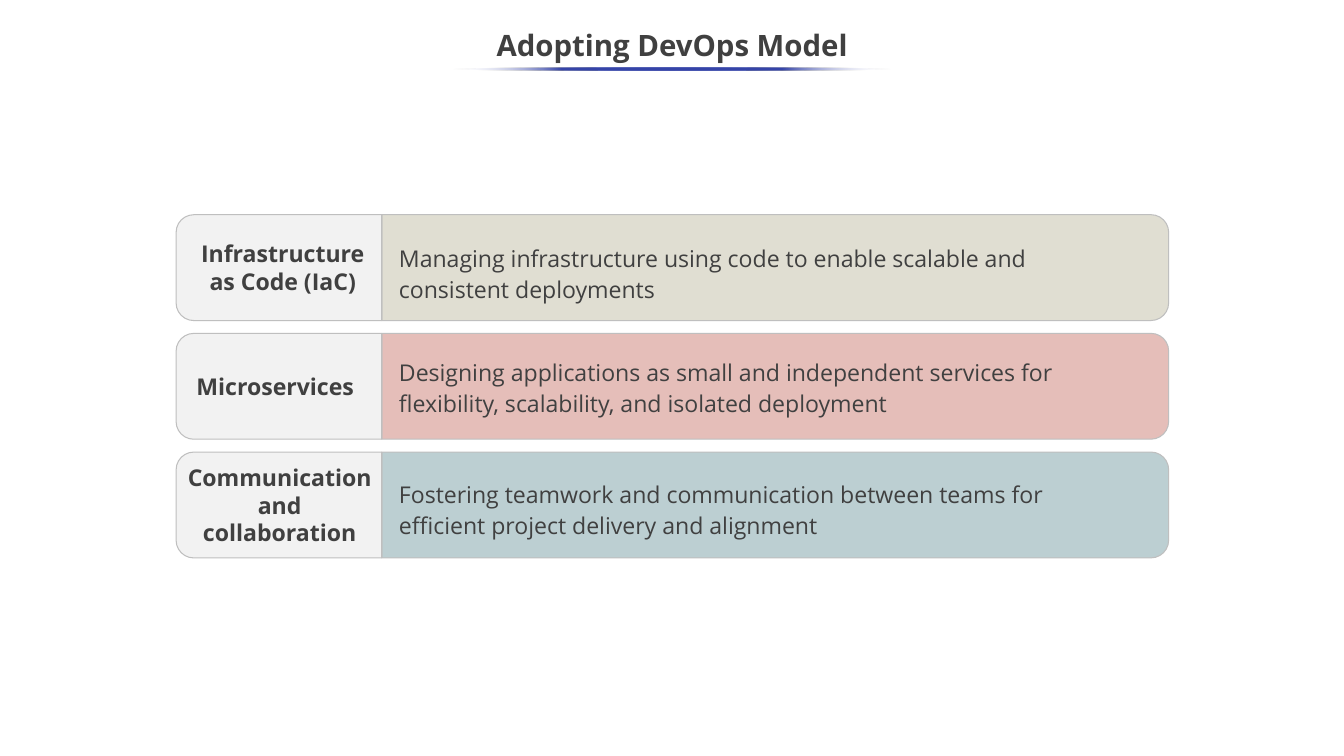
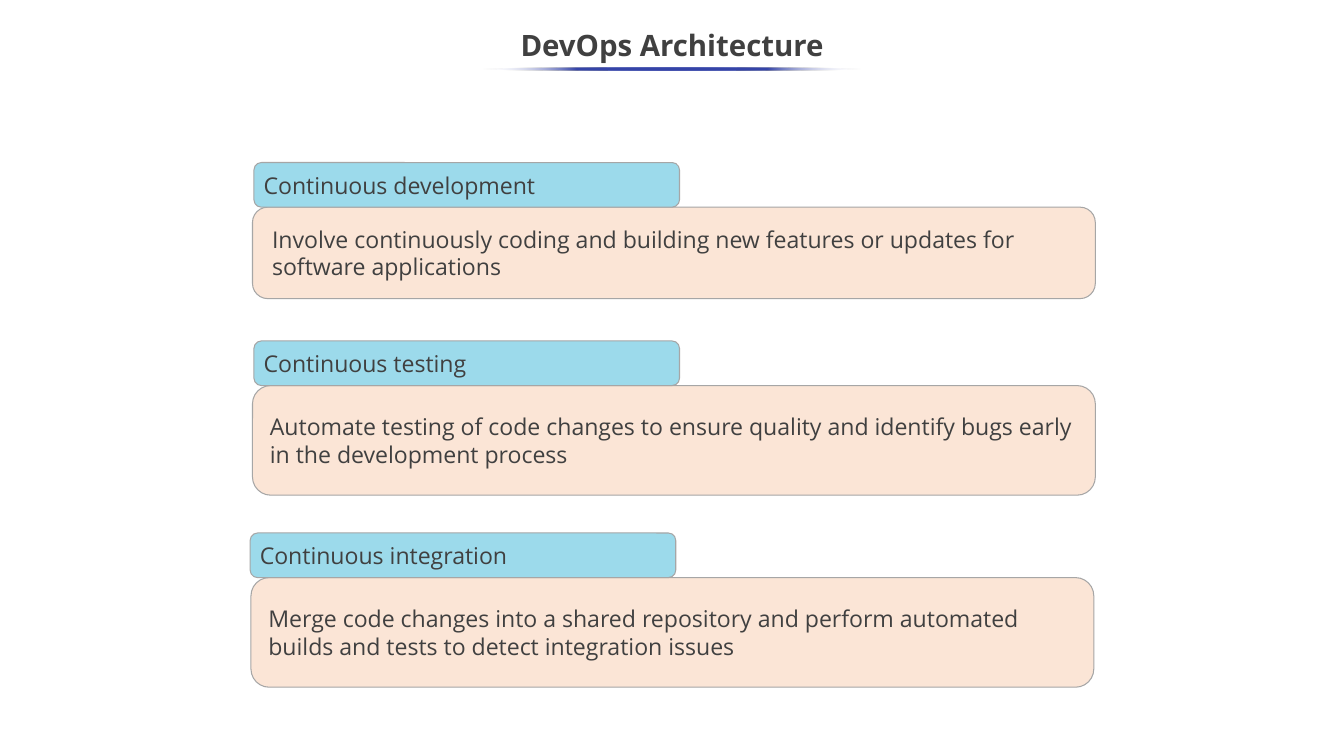
"""Build two slides on adopting DevOps and on its architecture."""
from lxml.etree import SubElement
from pptx import Presentation
from pptx.dml.color import RGBColor
from pptx.enum.shapes import MSO_SHAPE
from pptx.enum.text import MSO_ANCHOR, PP_ALIGN
from pptx.oxml.ns import qn
from pptx.util import Inches, Pt

INK = RGBColor(0x40, 0x40, 0x40)
WHITE = RGBColor(0xFF, 0xFF, 0xFF)
INDIGO = RGBColor(0x36, 0x45, 0xA9)
LABEL_GREY = RGBColor(0xF2, 0xF2, 0xF2)
ROW_EDGE = RGBColor(0xBF, 0xBF, 0xBF)
CARD_EDGE = RGBColor(0xA6, 0xA6, 0xA6)
SAND = RGBColor(0xE0, 0xDE, 0xD2)
ROSE = RGBColor(0xE5, 0xBE, 0xB9)
TEAL = RGBColor(0xBC, 0xCF, 0xD2)
PEACH = RGBColor(0xFB, 0xE5, 0xD6)
SKY = RGBColor(0x9C, 0xDA, 0xEB)

COLUMNS, ROWS = 17.78, 10
FONT = "Open Sans"
BODY_SIZE, TITLE_SIZE = 22, 28

PRACTICES = [
    ("Infrastructure\nas Code (IaC)", 2.53, 2.42, PP_ALIGN.CENTER, SAND,
     "Managing infrastructure using code to enable scalable and consistent deployments", 0.06),
    ("Microservices", 2.5, 2.48, PP_ALIGN.LEFT, ROSE,
     "Designing applications as small and independent services for flexibility, "
     "scalability, and isolated deployment", 0),
    ("Communication and\ncollaboration", 2.25, 2.9, PP_ALIGN.CENTER, TEAL,
     "Fostering teamwork and communication between teams for efficient project "
     "delivery and alignment", 0.04),
]
STAGES = [
    ("Continuous development", 3.36, 3.34, 2.15, 1.21, 0.2,
     "Involve continuously coding and building new features or updates for software applications"),
    ("Continuous testing", 3.36, 3.34, 4.51, 1.45, 0.16,
     "Automate testing of code changes to ensure quality and identify bugs early\n"
     "in the development process"),
    ("Continuous integration", 3.31, 3.32, 7.05, 1.45, 0.16,
     "Merge code changes into a shared repository and perform automated\n"
     "builds and tests to detect integration issues"),
]


class Deck:
    """Hold the shared style, the grid and the current slide."""

    def __init__(self):
        self.presentation = Presentation()
        self.presentation.slide_width = Inches(COLUMNS)
        self.presentation.slide_height = Inches(ROWS)
        self.cell = self.presentation.slide_height / ROWS
        self.slide = None

    def grid(self, *lengths):
        """Turn grid columns and rows into slide lengths."""
        return [round(length * self.cell) for length in lengths]

    def add_slide(self, title, rule_width):
        """Start a slide with its title and the fading rule below it."""
        self.slide = self.presentation.slides.add_slide(self.presentation.slide_layouts[6])
        self.text(title, 0, 0.25, COLUMNS, 0.75, PP_ALIGN.CENTER, TITLE_SIZE, True, 0.9)
        self.rule((COLUMNS - rule_width) / 2, 0.89, rule_width, 0.04)

    def rule(self, left, top, width, height):
        """Add a thin ellipse that fades out at both ends."""
        shape = self.shape(MSO_SHAPE.OVAL, left, top, width, height, INDIGO)
        shape.fill.gradient()
        shape.fill.gradient_angle = 0
        stops = shape._element.spPr.find(qn("a:gradFill")).find(qn("a:gsLst"))
        for stop in list(stops):
            stops.remove(stop)
        for percent in range(0, 101, 25):
            is_end = percent in (0, 100)
            stop = SubElement(stops, qn("a:gs"), pos=str(percent * 1000))
            color = SubElement(stop, qn("a:srgbClr"), val=str(WHITE if is_end else INDIGO))
            if is_end:
                SubElement(color, qn("a:alpha"), val="0")

    def shape(self, kind, left, top, width, height, fill, edge=None):
        """Add a flat preset shape."""
        shape = self.slide.shapes.add_shape(kind, *self.grid(left, top, width, height))
        shape.shadow.inherit = False
        shape.fill.solid()
        shape.fill.fore_color.rgb = fill
        if edge is None:
            shape.line.fill.background()
        else:
            shape.line.color.rgb = edge
            shape.line.width = Pt(1)
        return shape

    def side_rounded(self, left, top, width, height, fill, rotation):
        """Add a band whose rounded corners face the side set by the rotation."""
        shape = self.shape(MSO_SHAPE.ROUND_2_SAME_RECTANGLE, left + (width - height) / 2,
                           top + (height - width) / 2, height, width, fill, ROW_EDGE)
        shape.rotation = rotation

    def fill_text(self, shape, text, margins, align=PP_ALIGN.LEFT, size=BODY_SIZE, bold=False,
                  spacing=None):
        """Fill a shape or text box with styled paragraphs."""
        frame = shape.text_frame
        frame.word_wrap = True
        frame.vertical_anchor = MSO_ANCHOR.MIDDLE
        (frame.margin_left, frame.margin_top,
         frame.margin_right, frame.margin_bottom) = self.grid(*margins)
        frame.text = text
        for paragraph in frame.paragraphs:
            paragraph.alignment = align
            paragraph.line_spacing = spacing
            paragraph.font.name = FONT
            paragraph.font.size = Pt(size)
            paragraph.font.bold = bold
            paragraph.font.color.rgb = INK

    def text(self, text, left, top, width, height, *style):
        """Add a text box centred vertically."""
        box = self.slide.shapes.add_textbox(*self.grid(left, top, width, height))
        self.fill_text(box, text, (0.1, 0.05, 0.1, 0.05), *style)

    def card(self, text, left, top, width, height, fill, margins):
        """Add a rounded rectangle with text."""
        shape = self.shape(MSO_SHAPE.ROUNDED_RECTANGLE, left, top, width, height, fill, CARD_EDGE)
        self.fill_text(shape, text, margins)


def add_practices(deck):
    """Draw one labelled band for each practice."""
    left, label_width, band_width, height, pitch = 2.33, 2.72, 10.41, 1.4, 1.57
    band_left = left + label_width
    for index, (label, label_left, text_width, align, fill, detail, drop) in enumerate(PRACTICES):
        top = 2.84 + index * pitch
        deck.side_rounded(band_left, top, band_width, height, fill, 90)
        deck.side_rounded(left, top, label_width, height, LABEL_GREY, 270)
        deck.text(detail, band_left + 0.13, top + drop + 0.11, 9.93, 1.17,
                  PP_ALIGN.LEFT, BODY_SIZE, False, 1.14)
        deck.text(label, label_left, top, text_width, height, align, BODY_SIZE, True)


def add_stages(deck):
    """Draw one headed card for each stage."""
    header_height = 0.59
    for header, header_left, left, top, height, indent, detail in STAGES:
        deck.card(detail, left, top + header_height, 11.15, height, PEACH, (indent, 0.1, 0.1, 0.1))
        deck.card(header, header_left, top, 5.63, header_height, SKY, (0.1, 0.15, 0.1, 0.15))


def main():
    """Build and save both slides."""
    deck = Deck()
    deck.add_slide("Adopting DevOps Model", 5.81)
    add_practices(deck)
    deck.add_slide("DevOps Architecture", 5.01)
    add_stages(deck)
    deck.presentation.save("out.pptx")


if __name__ == "__main__":
    main()
